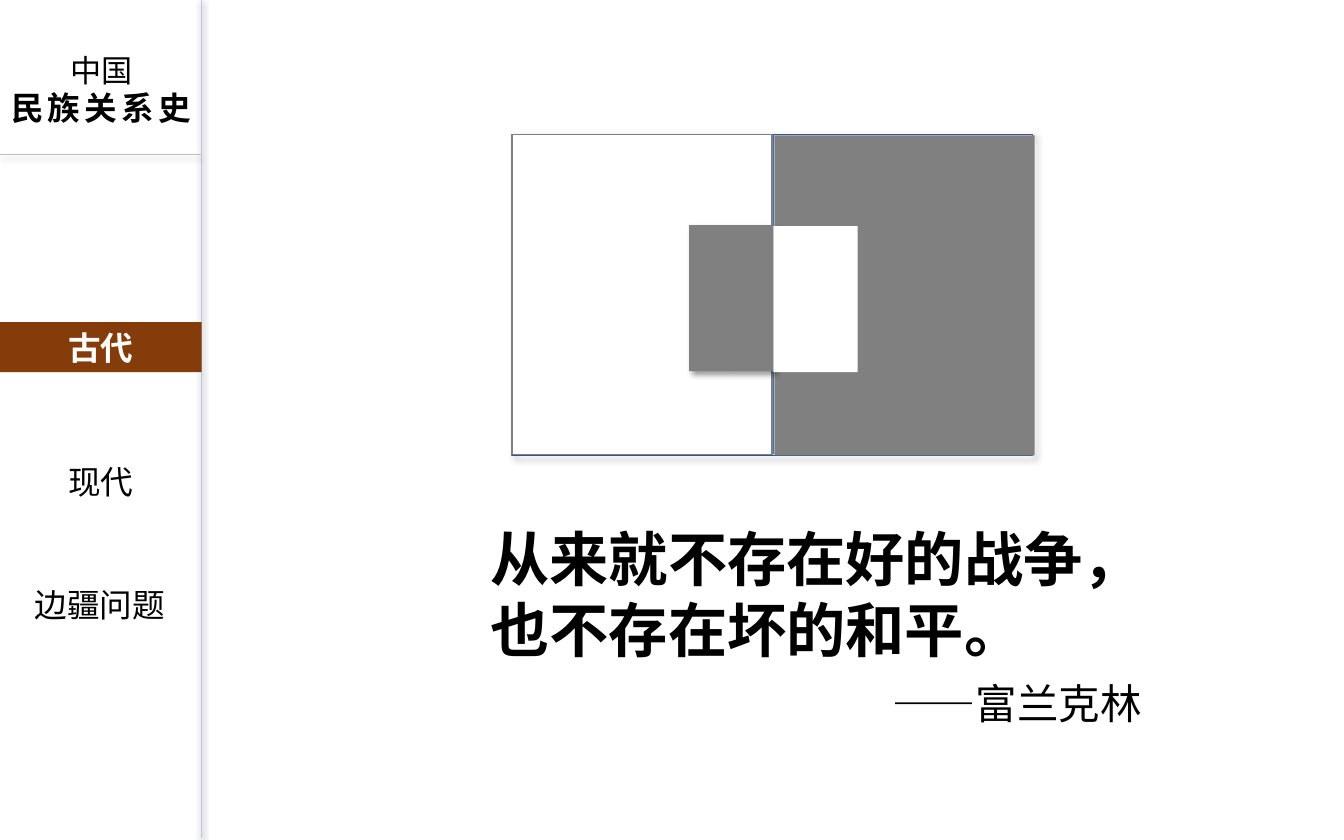
from lxml.etree import SubElement
from pptx import Presentation
from pptx.dml.color import RGBColor
from pptx.enum.shapes import MSO_CONNECTOR, MSO_SHAPE
from pptx.enum.text import MSO_ANCHOR, PP_ALIGN
from pptx.oxml.ns import qn
from pptx.util import Inches, Pt

FONT = "Noto Sans CJK SC"
BLACK = RGBColor(0, 0, 0)
WHITE = RGBColor(255, 255, 255)
GRAY = RGBColor(0x80, 0x80, 0x80)
SILVER = RGBColor(0xBF, 0xBF, 0xBF)
BROWN = RGBColor(0x84, 0x3C, 0x0B)
PALE_BLUE = RGBColor(0xB4, 0xC7, 0xE7)
BLUE = RGBColor(0x44, 0x72, 0xC4)
DARK_BLUE = RGBColor(0x32, 0x54, 0x91)

PAGE_WIDTH = 12.6
PAGE_HEIGHT = PAGE_WIDTH * 10 / 16
SIDEBAR_WIDTH = 1.89


def set_shadow(shape, angle=None):
    """Give a soft black shadow at the angle in degrees, or none at all."""
    properties = shape._element.spPr
    for old in properties.findall(qn("a:effectLst")):
        properties.remove(old)
    effects = SubElement(properties, qn("a:effectLst"))
    if angle is None:
        return
    shadow = SubElement(effects, qn("a:outerShdw"), blurRad=str(Pt(4)),
                        dist=str(Pt(3)), dir=str(angle * 60000),
                        algn="ctr", rotWithShape="0")
    color = SubElement(shadow, qn("a:srgbClr"), val=str(BLACK))
    SubElement(color, qn("a:alpha"), val="40000")


def add_line(shapes, x1, y1, x2, y2, color, width, shadow=None):
    line = shapes.add_connector(MSO_CONNECTOR.STRAIGHT, Inches(x1), Inches(y1),
                                Inches(x2), Inches(y2))
    line.line.color.rgb = color
    line.line.width = Pt(width)
    set_shadow(line, shadow)


def add_rectangle(shapes, left, top, width, height, fill=None, line=None, shadow=None):
    box = shapes.add_shape(MSO_SHAPE.RECTANGLE, Inches(left), Inches(top),
                           Inches(width), Inches(height))
    if fill is None:
        box.fill.background()
    else:
        box.fill.solid()
        box.fill.fore_color.rgb = fill
    if line is None:
        box.line.fill.background()
    else:
        box.line.color.rgb = line
        box.line.width = Pt(1)
    set_shadow(box, shadow)
    return box


def add_text_box(shapes, left, top, width, height):
    box = shapes.add_textbox(Inches(left), Inches(top), Inches(width), Inches(height))
    box.text_frame.word_wrap = True
    return box


def write(para, text, size, bold=False, color=BLACK, align=PP_ALIGN.CENTER,
          spacing=0, before=0):
    para.alignment = align
    para.line_spacing = Pt(size * 1.2)
    para.space_before = Pt(before)
    span = para.add_run()
    span.text = text
    span.font.size = Pt(size)
    span.font.bold = bold
    span.font.color.rgb = color
    span.font.name = FONT
    properties = span.font._element
    SubElement(properties, qn("a:ea"), typeface=FONT)
    if spacing:
        properties.set("spc", str(spacing * 100))


def add_sidebar(shapes):
    add_line(shapes, SIDEBAR_WIDTH, -0.02, SIDEBAR_WIDTH, PAGE_HEIGHT - 0.02,
             PALE_BLUE, 0.75, 90)
    add_line(shapes, 0, 1.45, SIDEBAR_WIDTH, 1.45, SILVER, 0.5, 90)

    title = add_text_box(shapes, -0.08, 0.43, 2.06, 0.84).text_frame
    write(title.paragraphs[0], "中国", 21)
    write(title.add_paragraph(), "民族关系史", 22, bold=True, spacing=3)

    for label, left, top, active in (("古代", 0, 3.02, True), ("现代", 0, 4.28, False),
                                     ("边疆问题", -0.01, 5.43, False)):
        place = (left, top, SIDEBAR_WIDTH, 0.47)
        if active:
            box = add_rectangle(shapes, *place, fill=BROWN)
        else:
            box = add_text_box(shapes, *place)
        frame = box.text_frame
        frame.vertical_anchor = MSO_ANCHOR.MIDDLE
        write(frame.paragraphs[0], label, 22, bold=active,
              color=WHITE if active else BLACK)


def add_emblem(shapes):
    """Draw two facing halves, each with an inset in the other's colour."""
    emblem = shapes.add_group_shape().shapes
    left, top, middle = 4.8, 1.26, 7.25
    half_width, height = 2.44, 3
    inset_width, inset_height = 0.79, 1.37
    add_line(emblem, middle, top, middle, top + height, BLUE, 0.5)
    add_rectangle(emblem, left, top, 2 * half_width, height + 0.01,
                  line=DARK_BLUE, shadow=45)
    add_rectangle(emblem, left, top, half_width, height, fill=WHITE, line=GRAY)
    add_rectangle(emblem, middle + 0.01, top + 0.01, half_width, height, fill=GRAY)
    add_rectangle(emblem, middle - inset_width, 2.11, inset_width, inset_height,
                  fill=GRAY, shadow=45)
    add_rectangle(emblem, middle, 2.12, inset_width, inset_height, fill=WHITE)


def add_quote(shapes):
    quote = add_text_box(shapes, 4.5, 4.85, 6.3, 2.05).text_frame
    write(quote.paragraphs[0], "从来就不存在好的战争，也不存在坏的和平。", 40,
          bold=True, align=PP_ALIGN.LEFT)
    write(quote.add_paragraph(), "——富兰克林", 28, align=PP_ALIGN.RIGHT, before=9)


def main():
    deck = Presentation()
    deck.slide_width = Inches(PAGE_WIDTH)
    deck.slide_height = Inches(PAGE_HEIGHT)
    page = deck.slides.add_slide(deck.slide_layouts[6])
    add_sidebar(page.shapes)
    add_emblem(page.shapes)
    add_quote(page.shapes)
    deck.save("out.pptx")


if __name__ == "__main__":
    main()
